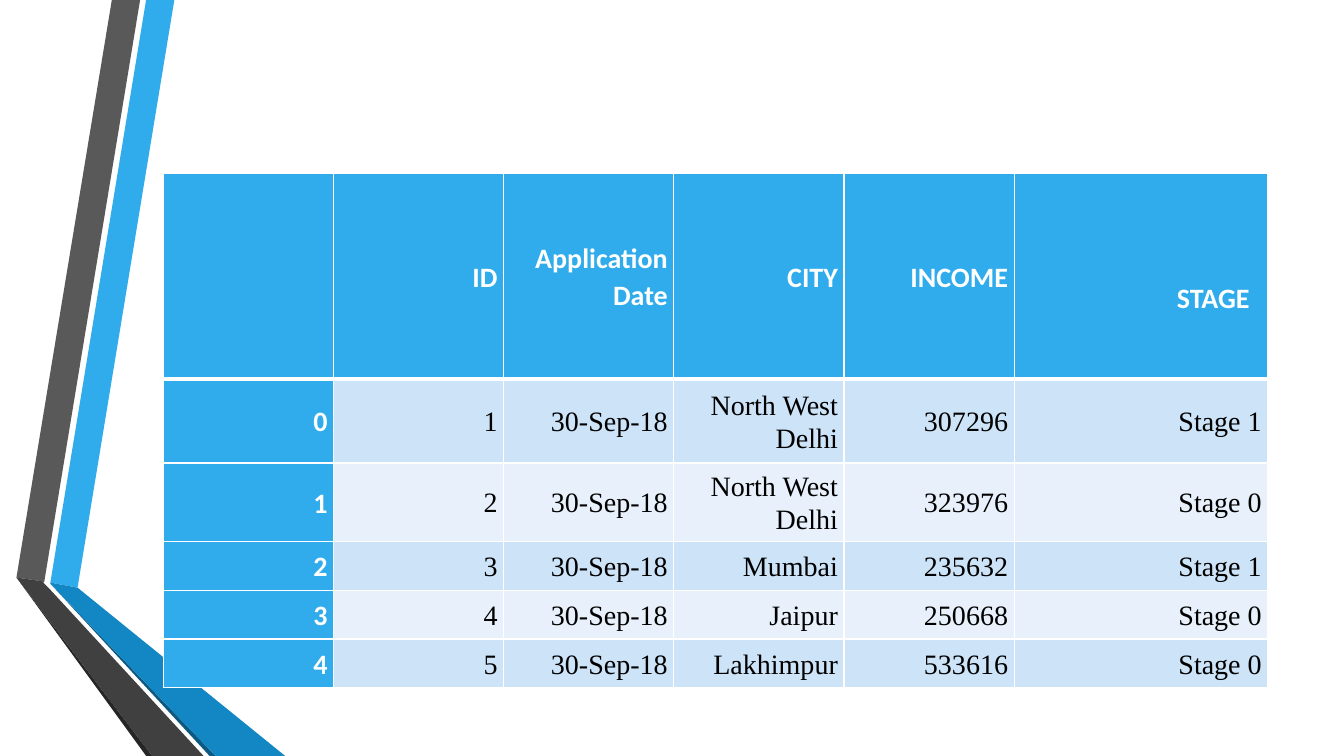
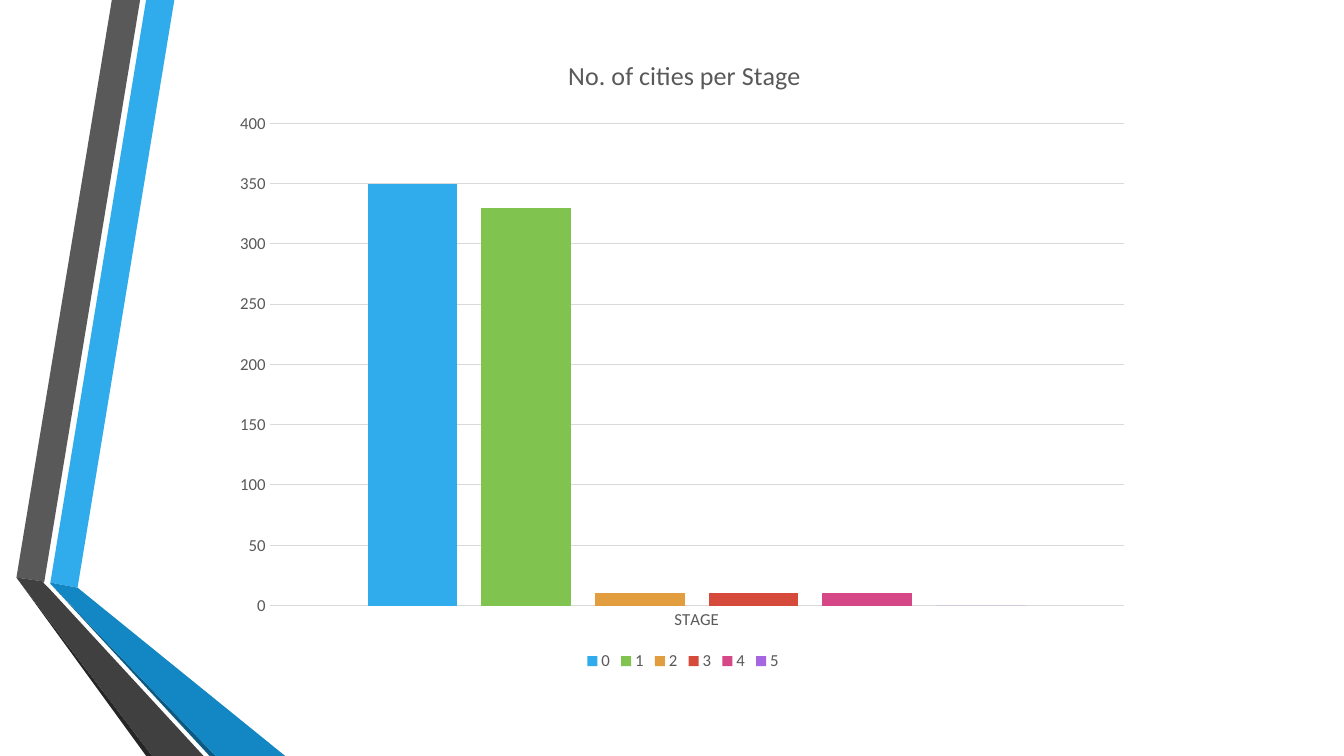
"""Build a two-slide deck: an applications table and a chart of cities per stage."""
from dataclasses import dataclass

from lxml.etree import SubElement
from pptx import Presentation
from pptx.chart.data import CategoryChartData
from pptx.dml.color import RGBColor
from pptx.enum.chart import XL_CHART_TYPE, XL_LEGEND_POSITION, XL_TICK_MARK
from pptx.enum.text import MSO_ANCHOR, PP_ALIGN
from pptx.oxml.ns import qn
from pptx.util import Emu, Inches, Pt

COLUMNS, ROWS = 80, 45
UNIT = Inches(7.5) / ROWS
BLANK_LAYOUT = 6


@dataclass(frozen=True)
class Theme:
    """Colours, fonts and type sizes shared by the slides."""
    accent: str = "30ACEC"
    accent_dark: str = "1287C3"
    accent_deep: str = "0C5A82"
    grey: str = "595959"
    grey_dark: str = "404040"
    grey_deep: str = "262626"
    rule: str = "D9D9D9"
    white: str = "FFFFFF"
    black: str = "000000"
    stripes: tuple = ("CDE3F8", "E8F1FB")
    series: tuple = ("30ACEC", "80C34F", "E29D3E", "D64A3B", "D64787", "A666E1")
    heading_font: str = "Calibri"
    body_font: str = "Times New Roman"
    table_size: float = 20
    chart_title_size: float = 18.6
    chart_size: float = 12
    inset: float = 0.06


THEME = Theme()

RIBBONS = (
    (THEME.accent, ((3, 34.68), (4.62, 34.98), (10.38, 0), (8.7, 0))),
    (THEME.grey, ((8.34, 0), (6.66, 0), (0.98, 34.38), (2.64, 34.62))),
    (THEME.grey_deep, ((0.98, 34.38), (8.7, 45), (9.06, 45))),
    (THEME.accent_deep, ((3, 34.74), (12.48, 45), (12.84, 45))),
    (THEME.accent_dark, ((3, 34.74), (12.84, 45), (16.98, 45), (4.62, 34.98), (3, 34.68))),
    (THEME.grey_dark, ((12.12, 45), (2.88, 34.98), (2.58, 34.68), (2.64, 34.62),
                       (0.98, 34.38), (9.06, 45))),
)

APPLICATIONS = (
    ("", "ID", "Application Date", "CITY", "INCOME", "STAGE"),
    ("0", "1", "30-Sep-18", "North West Delhi", "307296", "Stage 1"),
    ("1", "2", "30-Sep-18", "North West Delhi", "323976", "Stage 0"),
    ("2", "3", "30-Sep-18", "Mumbai", "235632", "Stage 1"),
    ("3", "4", "30-Sep-18", "Jaipur", "250668", "Stage 0"),
    ("4", "5", "30-Sep-18", "Lakhimpur", "533616", "Stage 0"),
)
TABLE_COLUMNS = (10.13,) * 5 + (15.1,)
TABLE_ROWS = (12.26, 4.98, 3.96) + (2.28,) * 3
CITIES_PER_STAGE = (350, 330, 10, 10, 10, 0)


def grid(*cells):
    """Turn grid columns and rows into slide lengths."""
    return [Emu(round(cell * UNIT)) for cell in cells]


def apply(target, values):
    """Set each named attribute of the target."""
    for name, value in values.items():
        setattr(target, name, value)


def paint(fill, colour):
    """Give a fill one solid colour."""
    fill.solid()
    fill.fore_color.rgb = RGBColor.from_string(colour)


def style_font(font, name, size, colour, bold=False):
    """Set the face, size, weight and colour of a font."""
    apply(font, {"name": name, "size": Pt(size), "bold": bold})
    font.color.rgb = RGBColor.from_string(colour)


def style_line(line, colour, width=0.75):
    """Set the colour and width of a line."""
    paint(line.fill, colour)
    line.width = Pt(width)


def add_ribbon(page, colour, points):
    """Draw one ribbon outline and return it."""
    corners = [grid(*point) for point in points]
    builder = page.shapes.build_freeform(*corners[0])
    builder.add_line_segments(corners[1:], close=True)
    ribbon = builder.convert_to_shape()
    paint(ribbon.fill, colour)
    ribbon.line.fill.background()
    ribbon.shadow.inherit = False
    return ribbon


def decorate_layout(layout, page):
    """Place the shared ribbons on the layout, drawing them through a page."""
    for holder in list(layout.placeholders):
        layout.shapes.element.remove(holder.element)
    ribbons = [add_ribbon(page, *ribbon) for ribbon in RIBBONS]
    for ribbon in ribbons:
        layout.shapes.element.append(ribbon.element)


def add_borders(cell, bottom):
    """Draw white borders around a cell."""
    properties = cell._tc.get_or_add_tcPr()
    for side, width in (("L", 1), ("R", 1), ("T", 1), ("B", bottom)):
        line = SubElement(properties, qn(f"a:ln{side}"), w=str(Pt(width)))
        fill = SubElement(line, qn("a:solidFill"))
        SubElement(fill, qn("a:srgbClr"), val=THEME.white)


def fill_cell(cell, text, row, column):
    """Write and format one table cell."""
    heading = row == 0 or column == 0
    add_borders(cell, 3 if row == 0 else 1)
    paint(cell.fill, THEME.accent if heading else THEME.stripes[(row - 1) % 2])
    apply(cell, {f"margin_{side}": Inches(THEME.inset)
                 for side in ("left", "right", "top", "bottom")})
    cell.vertical_anchor = MSO_ANCHOR.MIDDLE
    if not text:
        return
    para = cell.text_frame.paragraphs[0]
    apply(para, {"alignment": PP_ALIGN.RIGHT, "line_spacing": 1.07, "space_before": Pt(9)})
    span = para.add_run()
    span.text = text
    name = THEME.heading_font if heading else THEME.body_font
    colour = THEME.white if heading else THEME.black
    style_font(span.font, name, THEME.table_size, colour, heading)


def add_applications_table(page):
    """Add the table of loan applications."""
    place = grid(9.72, 10.32, sum(TABLE_COLUMNS), sum(TABLE_ROWS))
    table = page.shapes.add_table(len(TABLE_ROWS), len(TABLE_COLUMNS), *place).table
    for column, width in zip(table.columns, grid(*TABLE_COLUMNS)):
        column.width = width
    for row, height in zip(table.rows, grid(*TABLE_ROWS)):
        row.height = height
    for row, texts in enumerate(APPLICATIONS):
        for column, text in enumerate(texts):
            fill_cell(table.cell(row, column), text, row, column)
    stage_heading = table.cell(0, len(TABLE_COLUMNS) - 1)
    apply(stage_heading, {"margin_top": Inches(0.48), "margin_right": Inches(0.18)})


def pin(chart, part, after, shares, inner=False):
    """Fix a chart part at shares of the chart's size."""
    element = chart.element.find(f".//{qn(part)}")
    for layout in element.findall(qn("c:layout")):
        element.remove(layout)
    layout = SubElement(element, qn("c:layout"))
    before = element.find(qn(after)) if after else None
    element.insert(0 if before is None else element.index(before) + 1, layout)
    manual = SubElement(layout, qn("c:manualLayout"))
    if inner:
        SubElement(manual, qn("c:layoutTarget"), val="inner")
    for axis in "xy":
        SubElement(manual, qn(f"c:{axis}Mode"), val="edge")
    for name, share in zip("xywh", shares):
        SubElement(manual, qn(f"c:{name}"), val=str(share))


def style_axes(chart):
    """Format both axes and the gridlines."""
    for axis in (chart.category_axis, chart.value_axis):
        apply(axis, {"major_tick_mark": XL_TICK_MARK.NONE, "minor_tick_mark": XL_TICK_MARK.NONE})
        style_font(axis.tick_labels.font, THEME.heading_font, THEME.chart_size, THEME.grey)
    style_line(chart.category_axis.format.line, THEME.rule)
    apply(chart.value_axis, {"minimum_scale": 0, "maximum_scale": 400, "major_unit": 50,
                             "has_major_gridlines": True})
    chart.value_axis.format.line.fill.background()
    style_line(chart.value_axis.major_gridlines.format.line, THEME.rule)


def add_stage_chart(page):
    """Add the column chart of cities per stage."""
    data = CategoryChartData()
    data.categories = ["STAGE"]
    for stage, cities in enumerate(CITIES_PER_STAGE):
        data.add_series(str(stage), [cities])
    place = grid(13.32, 1.98, 54.66, 38.28)
    chart = page.shapes.add_chart(XL_CHART_TYPE.COLUMN_CLUSTERED, *place, data).chart
    style_font(chart.font, THEME.heading_font, 10, THEME.black)
    apply(chart, {"has_title": True, "has_legend": True})
    title = chart.chart_title.text_frame
    title.text = "No. of cities per Stage"
    style_font(title.paragraphs[0].runs[0].font, THEME.heading_font,
               THEME.chart_title_size, THEME.grey)
    apply(chart.legend, {"position": XL_LEGEND_POSITION.BOTTOM, "include_in_layout": False})
    style_font(chart.legend.font, THEME.heading_font, THEME.chart_size, THEME.grey)
    plot = chart.plots[0]
    apply(plot, {"gap_width": 219, "overlap": -27, "vary_by_categories": False})
    for series, colour in zip(plot.series, THEME.series):
        series.invert_if_negative = False
        paint(series.format.fill, colour)
    style_axes(chart)
    pin(chart, "c:title", "c:tx", (0.37, 0.03))
    pin(chart, "c:plotArea", None, (0.05, 0.14, 0.93, 0.75), inner=True)
    pin(chart, "c:legend", "c:legendPos", (0.39, 0.96))


def main():
    """Build and save the deck."""
    deck = Presentation()
    width, height = grid(COLUMNS, ROWS)
    apply(deck, {"slide_width": width, "slide_height": height})
    layout = deck.slide_layouts[BLANK_LAYOUT]
    table_page, chart_page = [deck.slides.add_slide(layout) for _ in range(2)]
    decorate_layout(layout, table_page)
    add_applications_table(table_page)
    add_stage_chart(chart_page)
    deck.save("out.pptx")


main()
